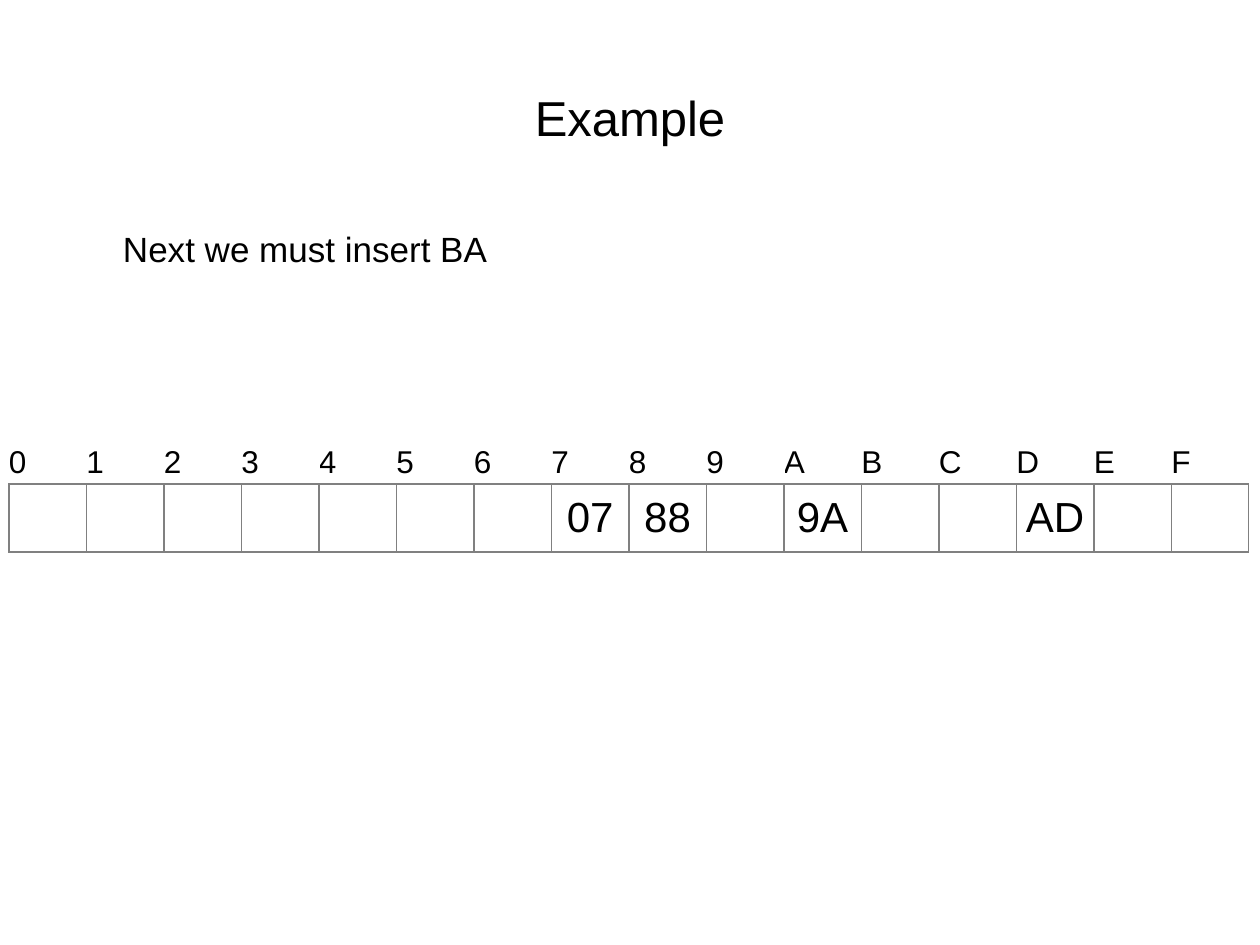
import pptx
import pptx.util
import pptx.dml.color
import pptx.enum.text
import pptx.oxml
import pptx.oxml.ns

PX = 914400 / 126
BLACK = "000000"
GRAY = "808080"
SLOTS = "0123456789ABCDEF"
STORED = {"7": "07", "8": "88", "A": "9A", "D": "AD"}
ALIGN = pptx.enum.text.PP_ALIGN
ANCHOR = pptx.enum.text.MSO_ANCHOR


def px(n):
    return pptx.util.Emu(round(n * PX))


def color(value):
    return pptx.dml.color.RGBColor.from_string(value)


def add_run(p, text, size):
    r = p.add_run()
    r.text = text
    r.font.size = pptx.util.Pt(size)
    r.font.name = "Arial"
    r.font.bold = False
    r.font.color.rgb = color(BLACK)


def add_title(s, x, y, w, h, text):
    sp = s.shapes.title
    sp.left, sp.top, sp.width, sp.height = map(px, (x, y, w, h))
    tf = sp.text_frame
    tf.vertical_anchor = ANCHOR.MIDDLE
    p = tf.paragraphs[0]
    p.alignment = ALIGN.CENTER
    add_run(p, text, 28)


def add_body(s, x, y, w, h, text):
    sp = s.shapes.add_textbox(px(x), px(y), px(w), px(h))
    tf = sp.text_frame
    tf.word_wrap = True
    tf.margin_left = px(60)
    add_run(tf.paragraphs[0], text, 20)


def set_borders(cell, sides):
    tcPr = cell._tc.get_or_add_tcPr()
    for i, side in enumerate(sides):
        ln = pptx.oxml.parse_xml(
            f'<a:ln{side} {pptx.oxml.ns.nsdecls("a")} w="12700"><a:solidFill>'
            f'<a:srgbClr val="{GRAY}"/></a:solidFill></a:ln{side}>')
        tcPr.insert(i, ln)


def fill_cell(cell, text, size, align, sides):
    cell.fill.background()
    set_borders(cell, sides)
    cell.vertical_anchor = ANCHOR.MIDDLE
    cell.margin_left = cell.margin_right = 0
    cell.margin_top = cell.margin_bottom = 0
    if text:
        p = cell.text_frame.paragraphs[0]
        p.alignment = align
        add_run(p, text, size)


def add_hash_table(s, x, y, w, h):
    header_h = 42
    table = s.shapes.add_table(2, len(SLOTS), px(x), px(y), px(w), px(h)).table
    table.first_row = False
    table.horz_banding = False
    table.rows[0].height = px(header_h)
    table.rows[1].height = px(h - header_h)
    for i, slot in enumerate(SLOTS):
        table.columns[i].width = px(w / len(SLOTS))
        fill_cell(table.cell(0, i), slot, 18, ALIGN.LEFT, "B")
        fill_cell(table.cell(1, i), STORED.get(slot), 24, ALIGN.CENTER, "LRTB")


def main():
    prs = pptx.Presentation()
    prs.slide_width, prs.slide_height = px(1260), px(945)
    s = prs.slides.add_slide(prs.slide_layouts[5])
    add_title(s, 63, 38, 1134, 158, "Example")
    add_body(s, 63, 221, 1134, 624, "Next we must insert BA")
    add_hash_table(s, 9, 442, 1240, 110)
    prs.save("out.pptx")


if __name__ == "__main__":
    main()
